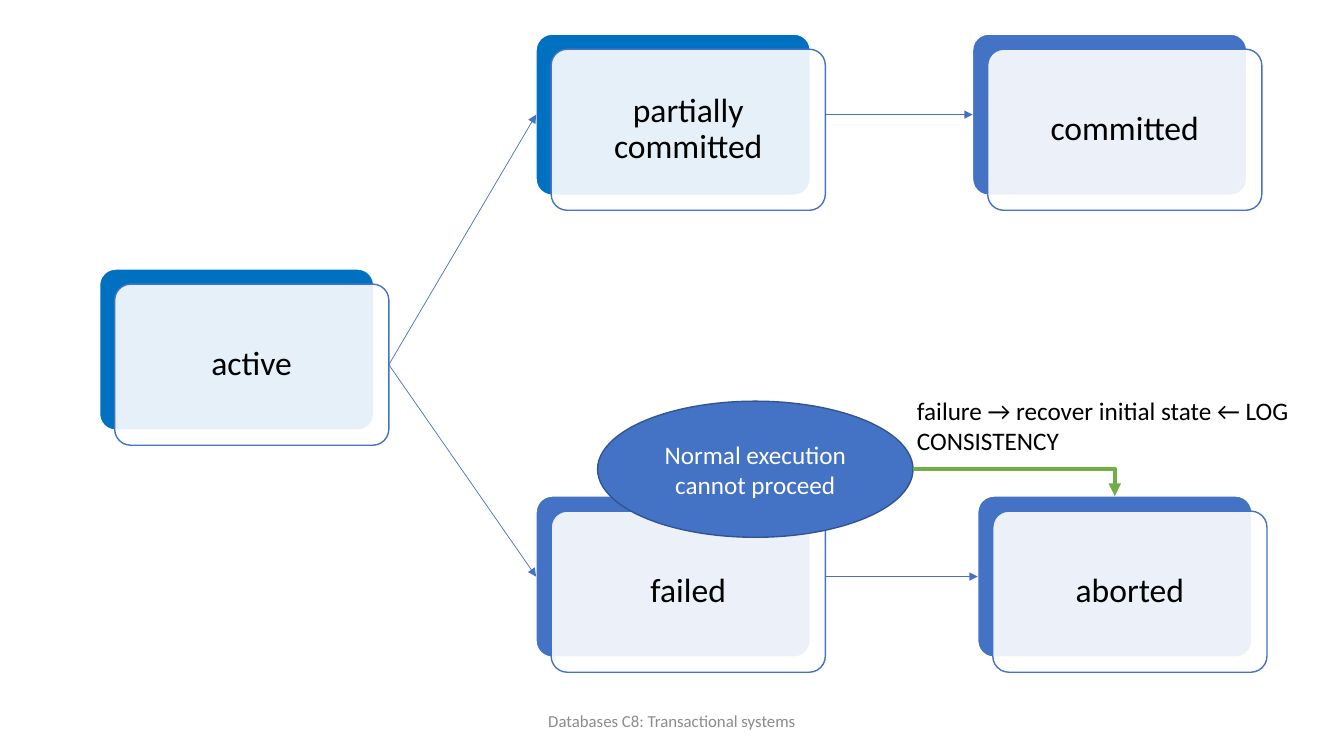
from lxml.etree import SubElement
from pptx import Presentation
from pptx.dml.color import RGBColor
from pptx.enum.shapes import MSO_CONNECTOR as LINE, MSO_SHAPE as SHAPE
from pptx.enum.text import MSO_ANCHOR as ANCHOR, MSO_AUTO_SIZE as AUTO, PP_ALIGN as ALIGN
from pptx.oxml.ns import qn
from pptx.util import Cm, Pt

BLACK = RGBColor(0x00, 0x00, 0x00)
WHITE = RGBColor(0xFF, 0xFF, 0xFF)
GREY = RGBColor(0x8C, 0x8C, 0x8C)
BRIGHT_BLUE = RGBColor(0x00, 0x70, 0xC0)
BLUE = RGBColor(0x44, 0x72, 0xC4)
DARK_BLUE = RGBColor(0x32, 0x54, 0x91)
GREEN = RGBColor(0x70, 0xAD, 0x47)

# State cards, in cm
CARD_W, CARD_H, CARD_SHIFT = 6.91, 4.06, 0.38
TOP_ROW, MIDDLE_ROW, BOTTOM_ROW = 0.86, 6.78, 12.5
TOP, LEFT, RIGHT = 0, 1, 3


def write(frame, text, size, color=BLACK, align=ALIGN.CENTER, anchor=ANCHOR.MIDDLE,
          wrap=True, spacing=None, margin=None, font="Calibri"):
    """Fill a text frame; each line of the text is a paragraph."""
    frame.word_wrap = wrap
    frame.vertical_anchor = anchor
    if margin is not None:
        frame.margin_left = frame.margin_right = Cm(margin)
        frame.margin_top = frame.margin_bottom = Cm(margin)
    frame.text = text
    for paragraph in frame.paragraphs:
        paragraph.alignment = align
        paragraph.line_spacing = spacing
        for run in paragraph.runs:
            run.font.name = font
            run.font.size = Pt(size)
            run.font.color.rgb = color


class StateDiagram:
    """Draws the parts of a state diagram on one slide."""

    def __init__(self, slide):
        self.shapes = slide.shapes

    def shape(self, kind, x, y, w, h, fill, line):
        shape = self.shapes.add_shape(kind, Cm(x), Cm(y), Cm(w), Cm(h))
        shape.shadow.inherit = False
        shape.fill.solid()
        shape.fill.fore_color.rgb = fill
        shape.line.color.rgb = line
        shape.line.width = Pt(1)
        return shape

    def state(self, name, x, y, accent):
        """A white card over a coloured one; returns (back, front)."""
        back = self.shape(SHAPE.ROUNDED_RECTANGLE, x, y, CARD_W, CARD_H, accent, WHITE)
        front = self.shape(SHAPE.ROUNDED_RECTANGLE, x + CARD_SHIFT, y + CARD_SHIFT,
                           CARD_W, CARD_H, WHITE, BLUE)
        for card in (back, front):
            card.adjustments[0] = 0.1
        white = front.fill._xPr.find(qn("a:solidFill"))[0]
        SubElement(white, qn("a:alpha"), val="90000")
        write(front.text_frame, name, 24, spacing=0.9, margin=0.3)
        return back, front

    def ellipse(self, text, x, y, w, h):
        ellipse = self.shape(SHAPE.OVAL, x, y, w, h, BLUE, DARK_BLUE)
        write(ellipse.text_frame, text, 18, WHITE)

    def label(self, text, x, y, w, h, size, grow=False, **style):
        frame = self.shapes.add_textbox(Cm(x), Cm(y), Cm(w), Cm(h)).text_frame
        write(frame, text, size, **style)
        if grow:
            frame.auto_size = AUTO.SHAPE_TO_FIT_TEXT

    def arrow(self, start, target, side, kind=LINE.STRAIGHT, color=BLUE, width=0.5):
        """An arrow from a point (x, y) to the middle of a side of the target."""
        arrow = self.shapes.add_connector(kind, *start, *start)
        arrow.end_connect(target, side)
        arrow.line.color.rgb = color
        arrow.line.width = Pt(width)
        SubElement(arrow.line._get_or_add_ln(), qn("a:tailEnd"), type="triangle")
        properties = arrow._element.spPr
        SubElement(properties, qn("a:effectLst"))
        if kind == LINE.ELBOW:
            properties.find(qn("a:prstGeom")).set("prst", "bentConnector2")
        return arrow


def main():
    deck = Presentation()
    deck.slide_width, deck.slide_height = Cm(33.87), Cm(19.05)
    diagram = StateDiagram(deck.slides.add_slide(deck.slide_layouts[6]))

    # Footer
    diagram.label("Databases C8: Transactional systems", 11.22, 17.66, 11.43, 1.01, 12,
                  color=GREY)

    # States
    active = diagram.state("active", 2.51, MIDDLE_ROW, BRIGHT_BLUE)
    partial = diagram.state("partially committed", 13.51, TOP_ROW, BRIGHT_BLUE)
    committed = diagram.state("committed", 24.51, TOP_ROW, BLUE)
    failed = diagram.state("failed", 13.51, BOTTOM_ROW, BLUE)
    aborted = diagram.state("aborted", 24.64, BOTTOM_ROW, BLUE)

    # Transitions out of the active state
    active_front = active[1]
    active_exit = (active_front.left + active_front.width,
                   active_front.top + active_front.height // 2)
    for back, _ in (partial, failed):
        diagram.arrow(active_exit, back, LEFT).begin_connect(active_front, RIGHT)

    # Level transitions to the final states
    for (_, front), (back, _) in ((partial, committed), (failed, aborted)):
        level = back.top + back.height // 2
        diagram.arrow((front.left + front.width, level), back, LEFT)

    # Failure and recovery
    diagram.ellipse("Normal execution cannot proceed", 15.06, 10.11, 7.95, 3.43)
    diagram.arrow((Cm(23.01), Cm(11.82)), aborted[0], TOP, LINE.ELBOW, GREEN, 3)
    diagram.label("failure → recover initial state ← LOG\nCONSISTENCY",
                  22.86, 9.83, 10.16, 1.8, 18, grow=True, wrap=False,
                  align=ALIGN.LEFT, anchor=ANCHOR.TOP)

    deck.save("out.pptx")


if __name__ == "__main__":
    main()
